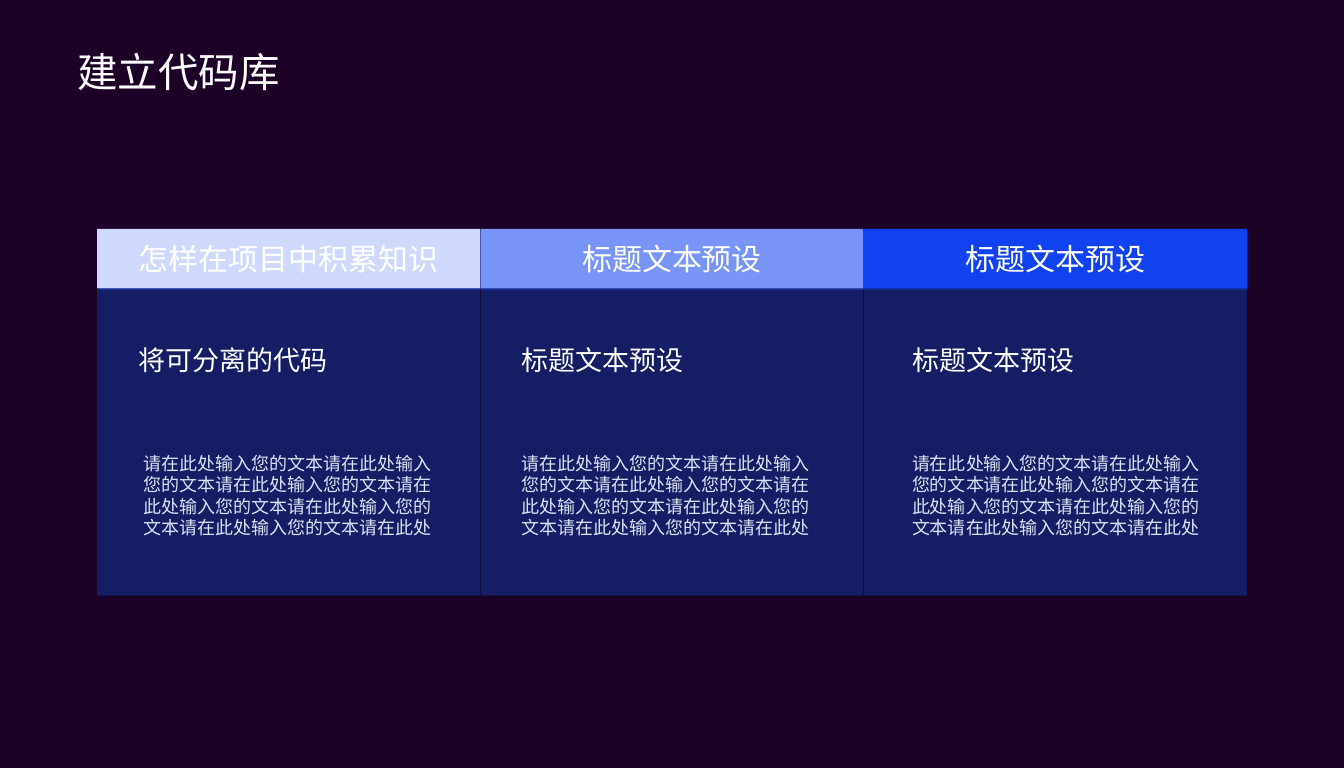
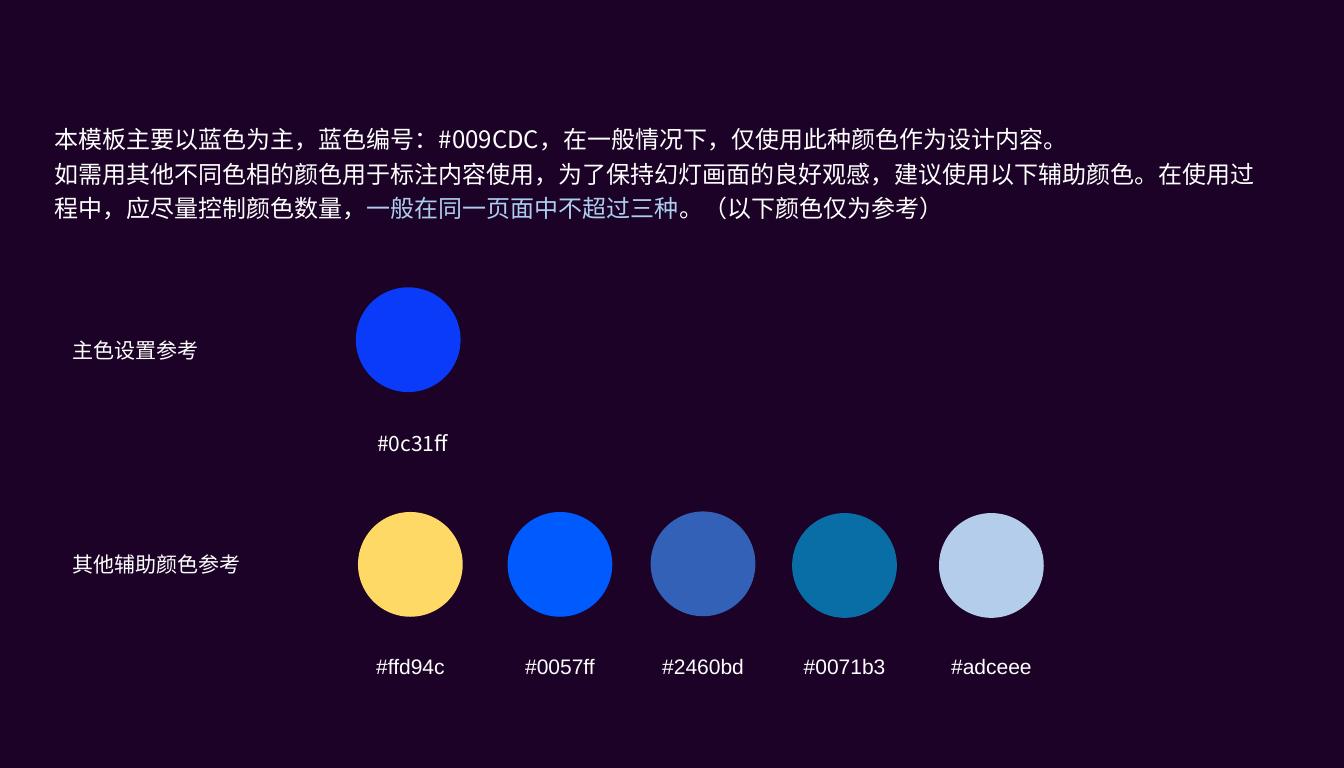
from lxml import etree
from pptx import Presentation
from pptx.dml.color import RGBColor
from pptx.enum.shapes import MSO_SHAPE
from pptx.enum.text import MSO_ANCHOR, PP_ALIGN
from pptx.oxml.ns import qn
from pptx.util import Inches, Pt

RECT, OVAL = MSO_SHAPE.RECTANGLE, MSO_SHAPE.OVAL
TOP, MIDDLE, BOTTOM = MSO_ANCHOR.TOP, MSO_ANCHOR.MIDDLE, MSO_ANCHOR.BOTTOM
LEFT, CENTER = PP_ALIGN.LEFT, PP_ALIGN.CENTER

SLIDE_W, SLIDE_H = 24.89, 14.22
BACKDROP, WHITE, PALE, ACCENT = "1B0226", "FFFFFF", "DAE3F3", "ADCDEE"
PANEL_BLUE, HEADER_BLUE, BLACK = "105FFF", "1042EF", "000000"
CJK, LATIN = "Noto Sans CJK SC", "Arial"
SLIM, WIDE = (0.1, 0.05), (0.19, 0.09)  # horizontal and vertical text insets

# Column grid of the comparison slide
GRID_LEFT, COLUMN_PITCH, COLUMN_W = 1.8, 7.1, 7.09
HEADER_TOP, HEADER_H, PANEL_H = 4.24, 1.1, 5.69
BODY = "请在此处输入您的文本" * 6 + "请在此处"
COLUMNS = [  # header, header fill, subheading, subheading indent, body indent
    ("怎样在项目中积累知识", "CFD9FC", "将可分离的代码", 0.57, 0.66),
    ("标题文本预设", "7994F7", "标题文本预设", 0.56, 0.56),
    ("标题文本预设", HEADER_BLUE, "标题文本预设", 0.7, 0.7),
]

# Colour swatches
SWATCH_D, CODE_W, CODE_H = 1.94, 2.21, 0.57
MAIN_TOP, MAIN_CODE_TOP, EXTRA_CODE_TOP = 5.32, 7.92, 12.05
EXTRA_SWATCHES = [  # centre, top, fill, opacity, colour code
    (7.6, 9.48, "FFD966", 100, "#ffd94c"),
    (10.37, 9.48, "005BFF", 100, "#0057ff"),
    (13.02, 9.47, "3361B7", 100, "#2460bd"),
    (15.64, 9.5, "009CDC", 70, "#0071b3"),
    (18.36, 9.5, "B3CDEB", 100, "#adceee"),
]
NOTE = [
    [("本模板主要以蓝色为主，蓝色编号：#009CDC，在一般情况下，仅使用此种颜色作为设计内容。", WHITE)],
    [("如需用其他不同色相的颜色用于标注内容使用，为了保持幻灯画面的良好观感，"
      "建议使用以下辅助颜色。在使用过程中，应尽量控制颜色数量，", WHITE),
     ("一般在同一页面中不超过三种", ACCENT),
     ("。（以下颜色仅为参考）", WHITE)],
]


def rgb(color):
    return RGBColor.from_string(color)


def set_opacity(color_element, percent):
    alpha = etree.SubElement(color_element, qn("a:alpha"))
    alpha.set("val", str(percent * 1000))


def add_shadow(shape, color, opacity):
    """Cast a hard shadow 3 pt to the lower right."""
    effects = shape._element.spPr.find(qn("a:effectLst"))
    shadow = etree.SubElement(effects, qn("a:outerShdw"), blurRad="0",
                              dist=str(Pt(3)), dir="2700000",
                              algn="tl", rotWithShape="0")
    set_opacity(etree.SubElement(shadow, qn("a:srgbClr"), val=color), opacity)


def add_block(slide, kind, box, color, opacity=100):
    block = slide.shapes.add_shape(kind, *map(Inches, box))
    block.shadow.inherit = False
    block.fill.solid()
    block.fill.fore_color.rgb = rgb(color)
    block.line.fill.background()
    if opacity < 100:
        fill = block._element.spPr.find(qn("a:solidFill"))
        set_opacity(fill[0], opacity)
    return block


def write(shape, paragraphs, size, font=CJK, align=LEFT, anchor=TOP,
          insets=SLIM, spacing=1.0):
    """Fill a shape with paragraphs, each a list of (text, colour) runs."""
    frame = shape.text_frame
    frame.word_wrap = True
    frame.vertical_anchor = anchor
    frame.margin_left = frame.margin_right = Inches(insets[0])
    frame.margin_top = frame.margin_bottom = Inches(insets[1])
    for index, parts in enumerate(paragraphs):
        paragraph = frame.add_paragraph() if index else frame.paragraphs[0]
        paragraph.alignment = align
        paragraph.line_spacing = spacing
        for text, color in parts:
            run = paragraph.add_run()
            run.text = text
            run.font.size = Pt(size)
            run.font.color.rgb = rgb(color)
            run.font.name = font
            etree.SubElement(run.font._element, qn("a:ea"), typeface=font)


def add_label(slide, box, text, size, color=WHITE, **style):
    label = slide.shapes.add_textbox(*map(Inches, box))
    write(label, [[(text, color)]], size, **style)


def add_column(slide, index, header, color, subheading, sub_indent, body_indent):
    left = GRID_LEFT + index * COLUMN_PITCH
    head = add_block(slide, RECT, (left, HEADER_TOP, COLUMN_W, HEADER_H), color)
    add_shadow(head, HEADER_BLUE, 34)
    write(head, [[(header, WHITE)]], 40, align=CENTER, anchor=MIDDLE)
    panel = add_block(slide, RECT, (left, HEADER_TOP + HEADER_H, COLUMN_W, PANEL_H),
                      PANEL_BLUE, 30)
    add_shadow(panel, BLACK, 33)
    add_label(slide, (left + sub_indent, 6.16, 5.18, 0.9), subheading, 36,
              anchor=BOTTOM, insets=WIDE, spacing=0.9)
    add_label(slide, (left + body_indent, 8.07, 5.96, 1.99), BODY, 24, PALE,
              anchor=BOTTOM, insets=WIDE)


def add_swatch(slide, center, top, color, opacity=100):
    add_block(slide, OVAL, (center - SWATCH_D / 2, top, SWATCH_D, SWATCH_D),
              color, opacity)


def add_code(slide, center, top, code, font):
    add_label(slide, (center - CODE_W / 2, top, CODE_W, CODE_H), code, 28,
              font=font, align=CENTER)


def build_columns(slide):
    for index, column in enumerate(COLUMNS):
        add_column(slide, index, *column)
    add_label(slide, (1.33, 0.83, 5.81, 1), "建立代码库", 54)


def build_palette(slide):
    note = slide.shapes.add_textbox(*map(Inches, (0.91, 2.15, 22.53, 2.02)))
    write(note, NOTE, 32, spacing=1.2)
    for top, width, text in ((6.2, 3.16, "主色设置参考"), (10.16, 3.68, "其他辅助颜色参考")):
        add_label(slide, (1.24, top, width, CODE_H), text, 28)
    add_swatch(slide, 7.56, MAIN_TOP, "0A3BF9")
    add_code(slide, 7.64, MAIN_CODE_TOP, "#0c31ff", CJK)
    for center, top, color, opacity, code in EXTRA_SWATCHES:
        add_swatch(slide, center, top, color, opacity)
        add_code(slide, center, EXTRA_CODE_TOP, code, LATIN)


def main():
    prs = Presentation()
    prs.slide_width, prs.slide_height = Inches(SLIDE_W), Inches(SLIDE_H)
    backdrop = prs.slide_master.background.fill
    backdrop.solid()
    backdrop.fore_color.rgb = rgb(BACKDROP)
    blank = prs.slide_layouts[6]
    for build in (build_columns, build_palette):
        build(prs.slides.add_slide(blank))
    prs.save("out.pptx")


if __name__ == "__main__":
    main()
